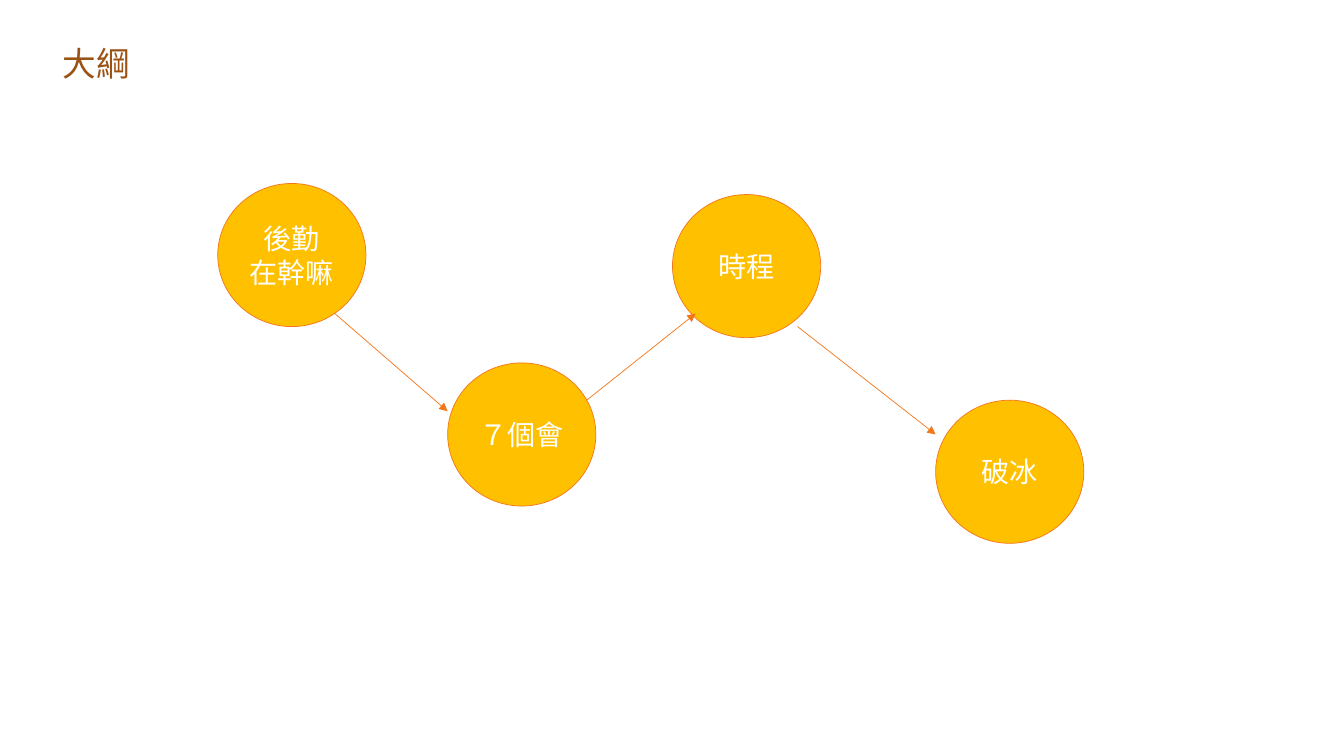
from lxml import etree
from pptx import Presentation
from pptx.dml.color import RGBColor
from pptx.enum.shapes import MSO_CONNECTOR as CONNECTOR, MSO_SHAPE as SHAPE
from pptx.enum.text import MSO_ANCHOR as ANCHOR, MSO_AUTO_SIZE as AUTO_SIZE, PP_ALIGN as ALIGN
from pptx.oxml.ns import qn
from pptx.util import Inches, Pt

BROWN = RGBColor(0x9A, 0x53, 0x15)
AMBER = RGBColor(0xFF, 0xC0, 0x00)
ORANGE = RGBColor(0xF3, 0x77, 0x1A)
WHITE = RGBColor(0xFF, 0xFF, 0xFF)

LATIN_FONT = "Karla"
CJK_FONT = "Noto Sans CJK SC"

SLIDE_SIZE = (13.33, 7.5)
TITLE_BOX = (0.52, 0.38, 2, 0.5)
FLOW_BOX = (2.16, 1.82, 8.59, 3.57)
TOPIC_SIZE = (1.47, 1.42)

# Topics: text and offset of the circle within the flow box
TOPICS = [
    ("後勤\n在幹嘛", 0, 0),
    ("７個會", 2.28, 1.78),
    ("時程", 4.51, 0.11),
    ("破冰", 7.12, 2.15),
]
# Arrows: start and end within the flow box
ARROWS = [
    ((1.16, 1.29), (2.28, 2.26)),
    ((3.66, 2.15), (4.74, 1.29)),
    ((5.75, 1.42), (7.12, 2.49)),
]


def write_text(frame, text, *, size, color, font=CJK_FONT, align=ALIGN.LEFT, anchor=ANCHOR.TOP):
    frame.word_wrap = True
    frame.vertical_anchor = anchor
    for index, line in enumerate(text.split("\n")):
        paragraph = frame.add_paragraph() if index else frame.paragraphs[0]
        paragraph.alignment = align
        run = paragraph.add_run()
        run.text = line
        run.font.size = Pt(size)
        run.font.color.rgb = color
        run.font.name = font
        # East Asian typeface
        etree.SubElement(run.font._element, qn("a:ea"), typeface=CJK_FONT)


def add_title(slide, box):
    title = slide.shapes.title
    title.left, title.top, title.width, title.height = map(Inches, box)
    write_text(title.text_frame, "大綱", size=24, color=BROWN, font=LATIN_FONT)
    title.text_frame.auto_size = AUTO_SIZE.SHAPE_TO_FIT_TEXT


def add_topic(slide, text, left, top):
    circle = slide.shapes.add_shape(SHAPE.OVAL, *map(Inches, (left, top, *TOPIC_SIZE)))
    circle.shadow.inherit = False
    circle.fill.solid()
    circle.fill.fore_color.rgb = AMBER
    circle.line.color.rgb = ORANGE
    circle.line.width = Pt(0.5)
    frame = circle.text_frame
    frame.margin_left = frame.margin_right = 0
    write_text(frame, text, size=20, color=WHITE, align=ALIGN.CENTER, anchor=ANCHOR.MIDDLE)


def add_arrow(slide, start, end):
    arrow = slide.shapes.add_connector(CONNECTOR.STRAIGHT, *map(Inches, (*start, *end)))
    arrow.line.color.rgb = ORANGE
    arrow.line.width = Pt(0.5)
    # Arrowhead, and no shadow
    etree.SubElement(arrow.line._get_or_add_ln(), qn("a:tailEnd"), type="triangle")
    etree.SubElement(arrow._element.spPr, qn("a:effectLst"))


def add_flow(slide, box):
    left, top = box[:2]
    for text, x, y in TOPICS:
        add_topic(slide, text, left + x, top + y)
    for ends in ARROWS:
        add_arrow(slide, *((left + x, top + y) for x, y in ends))


def main():
    presentation = Presentation()
    presentation.slide_width, presentation.slide_height = map(Inches, SLIDE_SIZE)
    title_only = presentation.slide_layouts[5]
    slide = presentation.slides.add_slide(title_only)
    add_title(slide, TITLE_BOX)
    add_flow(slide, FLOW_BOX)
    presentation.save("out.pptx")


if __name__ == "__main__":
    main()
